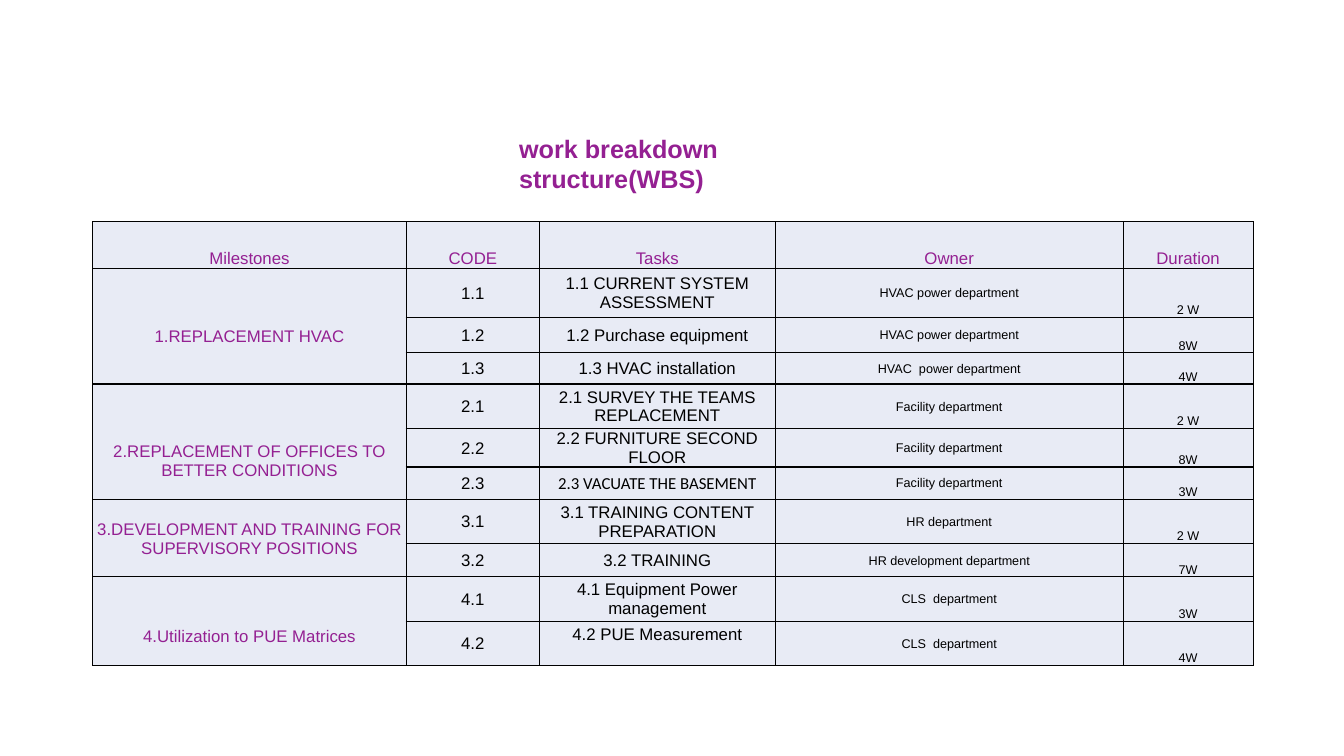
from lxml import etree
from pptx import Presentation
from pptx import util as u
from pptx.dml.color import RGBColor
from pptx.enum import text
from pptx.oxml import ns

PURPLE, BLACK, PALE = "942092", "000000", "E8EBF5"
TITLE = "work breakdown structure(WBS)"
HEADINGS = ["Milestones", "CODE", "Tasks", "Owner", "Duration"]
MILESTONES = [
    ("1.REPLACEMENT HVAC", 0.38, [
        ("1.1", "1.1 CURRENT SYSTEM ASSESSMENT", "HVAC power department", "2 W"),
        ("1.2", "1.2 Purchase equipment", "HVAC power department", "8W"),
        ("1.3", "1.3 HVAC installation", "HVAC  power department", "4W"),
    ]),
    ("2.REPLACEMENT OF OFFICES TO BETTER CONDITIONS", 0.19, [
        ("2.1", "2.1 SURVEY THE TEAMS REPLACEMENT", "Facility department", "2 W"),
        ("2.2", "2.2 FURNITURE SECOND FLOOR", "Facility department", "8W"),
        ("2.3", "2.3 VACUATE THE BASEMENT", "Facility department", "3W"),
    ]),
    ("3.DEVELOPMENT AND TRAINING FOR SUPERVISORY POSITIONS", 0.19, [
        ("3.1", "3.1 TRAINING CONTENT PREPARATION", "HR department", "2 W"),
        ("3.2", "3.2 TRAINING", "HR development department", "7W"),
    ]),
    ("4.Utilization to PUE Matrices", 0.19, [
        ("4.1", "4.1 Equipment Power management", "CLS  department", "3W"),
        ("4.2", "4.2 PUE Measurement", "CLS  department", "4W"),
    ]),
]
WIDTHS = [3.11, 1.32, 2.34, 3.45, 1.29]
HEIGHTS = [0.46, 0.49, 0.35, 0.31, 0.44, 0.38, 0.32, 0.44, 0.33, 0.44, 0.44]
TASK_FONTS = {"2.3": "Calibri"}
TASK_GAPS = {"4.2": 0.19}
BOTTOM, MIDDLE = text.MSO_ANCHOR.BOTTOM, text.MSO_ANCHOR.MIDDLE
COLUMN_STYLES = [(12, MIDDLE), (12, MIDDLE), (9, MIDDLE), (9, BOTTOM)]


def color(value):
    return RGBColor.from_string(value)


def write(frame, words, size, ink, font="Arial", bold=False):
    frame.text = words
    para = frame.paragraphs[0]
    span = para.runs[0]
    span.font.size = u.Pt(size)
    span.font.name = font
    span.font.bold = bold
    span.font.color.rgb = color(ink)
    return para


def add_borders(cell):
    properties = cell._tc.get_or_add_tcPr()
    for side in ("lnL", "lnR", "lnT", "lnB"):
        line = etree.SubElement(properties, ns.qn("a:" + side), w=str(u.Pt(1)))
        fill = etree.SubElement(line, ns.qn("a:solidFill"))
        etree.SubElement(fill, ns.qn("a:srgbClr"), val=BLACK)


def fill_cell(cell, words, size, ink, anchor, font="Arial", gap=0):
    para = write(cell.text_frame, words, size, ink, font)
    para.alignment = text.PP_ALIGN.CENTER
    cell.vertical_anchor = anchor
    cell.margin_bottom = u.Inches(gap)


def add_title(page):
    box = page.shapes.add_textbox(u.Inches(5.05), u.Inches(1.27), u.Inches(3.75), u.Inches(0.4))
    box.text_frame.word_wrap = True
    write(box.text_frame, TITLE, 18, PURPLE, bold=True)


def add_breakdown(page):
    table = page.shapes.add_table(
        len(HEIGHTS), len(WIDTHS), u.Inches(0.92), u.Inches(2.2),
        u.Inches(sum(WIDTHS)), u.Inches(sum(HEIGHTS))).table
    for column, width in zip(table.columns, WIDTHS):
        column.width = u.Inches(width)
    for row, height in zip(table.rows, HEIGHTS):
        row.height = u.Inches(height)
    for cell in table.iter_cells():
        add_borders(cell)
        cell.fill.solid()
        cell.fill.fore_color.rgb = color(PALE)
        cell.margin_left = cell.margin_right = cell.margin_top = u.Inches(0.01)
        cell.margin_bottom = 0
    for column, heading in enumerate(HEADINGS):
        fill_cell(table.cell(0, column), heading, 12, PURPLE, BOTTOM)
    first = 1
    for milestone, gap, tasks in MILESTONES:
        table.cell(first, 0).merge(table.cell(first + len(tasks) - 1, 0))
        fill_cell(table.cell(first, 0), milestone, 12, PURPLE, BOTTOM, gap=gap)
        for row, task in enumerate(tasks, first):
            for column, (words, (size, anchor)) in enumerate(zip(task, COLUMN_STYLES), 1):
                is_task = HEADINGS[column] == "Tasks"
                font = TASK_FONTS.get(task[0], "Arial") if is_task else "Arial"
                space = TASK_GAPS.get(task[0], 0) if is_task else 0
                fill_cell(table.cell(row, column), words, size, BLACK, anchor, font, space)
        first += len(tasks)


def main():
    deck = Presentation()
    deck.slide_width, deck.slide_height = u.Inches(13.33), u.Inches(7.5)
    page = deck.slides.add_slide(deck.slide_layouts[6])
    add_breakdown(page)
    add_title(page)
    deck.save("out.pptx")


if __name__ == "__main__":
    main()
